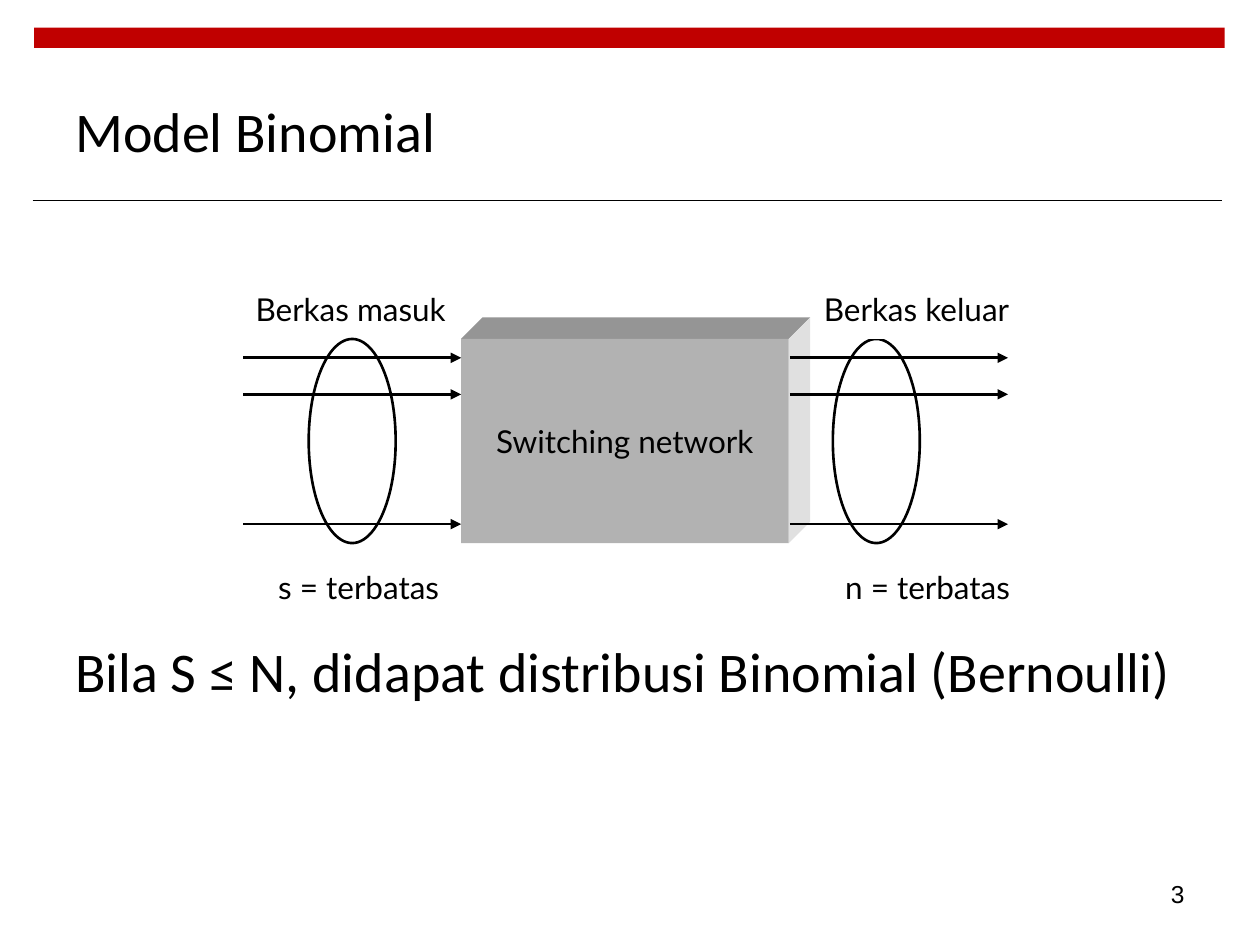
from lxml import etree
from pptx import Presentation
from pptx.dml.color import RGBColor
from pptx.enum.shapes import MSO_CONNECTOR, MSO_SHAPE
from pptx.enum.text import MSO_ANCHOR, PP_ALIGN
from pptx.oxml.ns import qn
from pptx.util import Inches, Pt

RECTANGLE, OVAL = MSO_SHAPE.RECTANGLE, MSO_SHAPE.OVAL
STRAIGHT = MSO_CONNECTOR.STRAIGHT
TOP, MIDDLE = MSO_ANCHOR.TOP, MSO_ANCHOR.MIDDLE
LEFT, CENTER, RIGHT = PP_ALIGN.LEFT, PP_ALIGN.CENTER, PP_ALIGN.RIGHT

COLORS = {
    "ink": "000000",
    "paper": "FFFFFF",
    "accent": "C00000",
    "front": "B2B2B2",
    "top": "959595",
    "side": "E0E0E0",
}
HEADING = {"name": "Calibri", "size": Pt(32)}
LABEL = {"name": "Lato", "size": Pt(18)}
NUMBER = {"name": "Arial", "size": Pt(14)}


class SlideBuilder:
    def __init__(self, slide, colors):
        self.shapes = slide.shapes
        self.colors = colors

    def color(self, name):
        return RGBColor.from_string(self.colors[name])

    def paint(self, shape, fill, line=None):
        shape.shadow.inherit = False
        shape.fill.solid()
        shape.fill.fore_color.rgb = self.color(fill)
        if line:
            shape.line.color.rgb = self.color("ink")
            shape.line.width = Pt(line)
        else:
            shape.line.fill.background()

    def shape(self, kind, left, top, width, height, fill, line=None):
        shape = self.shapes.add_shape(
            kind, Inches(left), Inches(top), Inches(width), Inches(height))
        self.paint(shape, fill, line)
        return shape

    def polygon(self, points, fill):
        corners = [(Inches(x), Inches(y)) for x, y in points]
        builder = self.shapes.build_freeform(*corners[0], scale=1.0)
        builder.add_line_segments(corners[1:], close=True)
        self.paint(builder.convert_to_shape(), fill)

    def fill_text(self, box, text, style, align=LEFT, anchor=TOP, wrap=True):
        frame = box.text_frame
        frame.word_wrap = wrap
        frame.vertical_anchor = anchor
        para = frame.paragraphs[0]
        para.alignment = align
        span = para.add_run()
        span.text = text
        for name, value in style.items():
            setattr(span.font, name, value)
        span.font.color.rgb = self.color("ink")

    def text(self, left, top, width, height, text, style, **layout):
        box = self.shapes.add_textbox(
            Inches(left), Inches(top), Inches(width), Inches(height))
        self.fill_text(box, text, style, **layout)

    def label(self, left, top, width, text):
        box = self.shape(RECTANGLE, left, top, width, 0.44, "paper")
        self.fill_text(box, text, LABEL, wrap=False)

    def line(self, left, right, y, width, arrow=False):
        line = self.shapes.add_connector(
            STRAIGHT, Inches(left), Inches(y), Inches(right), Inches(y))
        line.line.color.rgb = self.color("ink")
        line.line.width = Pt(width)
        properties = line._element.spPr
        if arrow:
            outline = properties.find(qn("a:ln"))
            etree.SubElement(outline, qn("a:tailEnd"), type="triangle")
        etree.SubElement(properties, qn("a:effectLst"))


def draw_network(page):
    left, top, width, height, depth = 3.66, 2.69, 2.6, 1.62, 0.17
    right, bottom = left + width, top + height

    page.label(1.93, 2.25, 1.73, "Berkas masuk")
    for ellipse_left in (6.61, 2.45):
        page.shape(OVAL, ellipse_left, top, 0.69, height, "paper", 1.5)

    page.polygon([(left, top), (left + depth, top - depth),
                  (right + depth, top - depth), (right, top)], "top")
    page.polygon([(right, top), (right + depth, top - depth),
                  (right + depth, bottom - depth), (right, bottom)], "side")
    front = page.shape(RECTANGLE, left, top, width, height, "front")
    page.fill_text(front, "Switching network", LABEL,
                   align=CENTER, anchor=MIDDLE)

    for y in (2.84, 3.13, 4.16):
        for start in (1.93, 6.27):
            page.line(start, start + 1.73, y, 1.5, arrow=True)

    page.label(6.44, 2.25, 1.73, "Berkas keluar")
    page.label(2.11, 4.46, 1.64, "s = terbatas")
    page.label(6.61, 4.46, 1.56, "n = terbatas")


def main():
    deck = Presentation()
    deck.slide_width, deck.slide_height = Inches(10), Inches(7.5)
    page = SlideBuilder(deck.slides.add_slide(deck.slide_layouts[6]), COLORS)

    page.shape(RECTANGLE, 0.27, 0.22, 9.45, 0.16, "accent")
    page.line(0.26, 9.7, 1.59, 0.6)
    page.text(7.17, 6.83, 2.33, 0.52, "3", NUMBER, align=RIGHT, anchor=MIDDLE)
    page.text(0.5, 0.52, 6.66, 1.03, "Model Binomial", HEADING, anchor=MIDDLE)
    page.text(0.5, 5, 9, 1.7,
              "Bila S ≤ N, didapat distribusi Binomial (Bernoulli)", HEADING)
    draw_network(page)
    deck.save("out.pptx")


if __name__ == "__main__":
    main()
